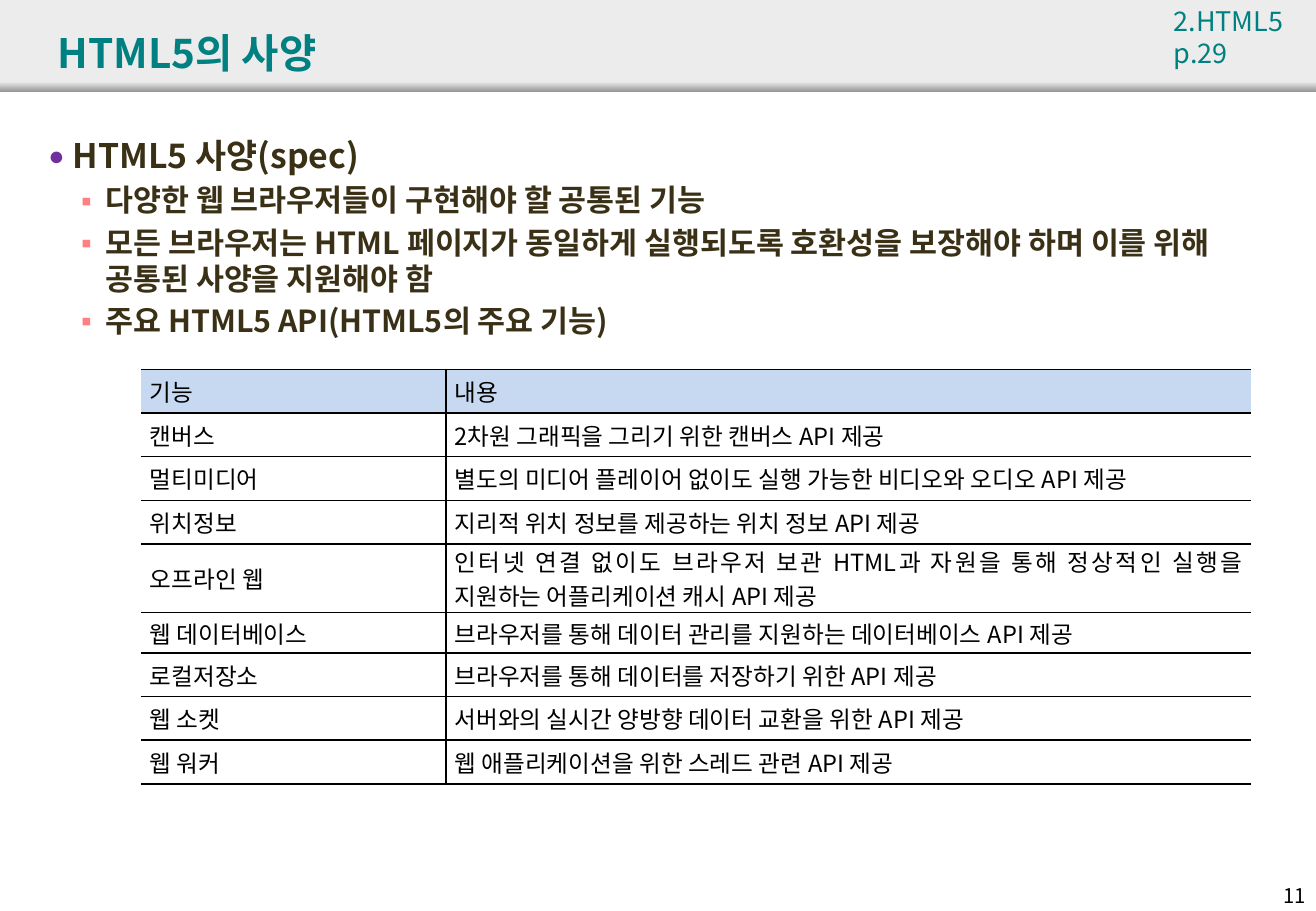
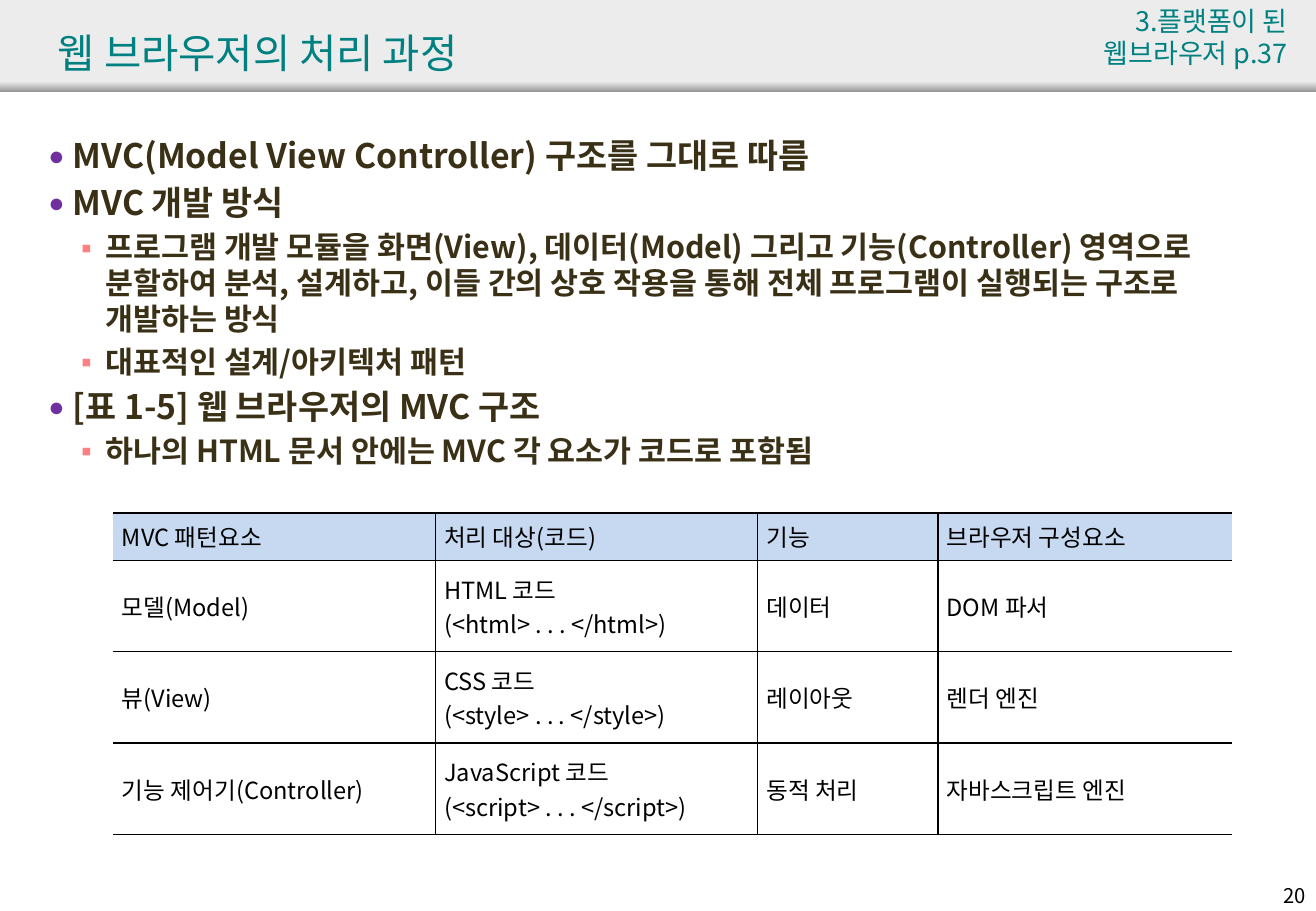
from lxml import etree
from pptx import Presentation
from pptx import util as u
from pptx.dml.color import RGBColor
from pptx.enum import shapes, text
from pptx.oxml.ns import qn

FONT = "Noto Sans CJK KR"
BULLET_FONT = "Arial"
COLORS = {
    "band": "ECECEC", "band_edge": "979797", "teal": "008080", "body": "3A3016",
    "black": "000000", "header": "C6D9F1", "dot": "7030A0", "square": "FF8080",
}
TIGHT = 0.99  # below 1, lines are spaced by the text size and not by the font's own height
# For each level: bullet, its colour, its size in percent, indent, text size, space before
LEVELS = [("●", "dot", 80, 14.4, 20, 4), ("▪", "square", 100, 33.8, 18, 3.6)]

SPEC_BULLETS = [
    (0, "HTML5 사양(spec)"),
    (1, "다양한 웹 브라우저들이 구현해야 할 공통된 기능"),
    (1, "모든 브라우저는 HTML 페이지가 동일하게 실행되도록 호환성을 보장해야 하며 "
        "이를 위해 공통된 사양을 지원해야 함"),
    (1, "주요 HTML5 API(HTML5의 주요 기능)"),
]
SPEC_ROWS = [
    ("기능", "내용"),
    ("캔버스", "2차원 그래픽을 그리기 위한 캔버스 API 제공"),
    ("멀티미디어", "별도의 미디어 플레이어 없이도 실행 가능한 비디오와 오디오 API 제공"),
    ("위치정보", "지리적 위치 정보를 제공하는 위치 정보 API 제공"),
    ("오프라인 웹", "인터넷 연결 없이도 브라우저 보관 HTML과 자원을 통해 정상적인 실행을 "
                "지원하는 어플리케이션 캐시 API 제공"),
    ("웹 데이터베이스", "브라우저를 통해 데이터 관리를 지원하는 데이터베이스 API 제공"),
    ("로컬저장소", "브라우저를 통해 데이터를 저장하기 위한 API 제공"),
    ("웹 소켓", "서버와의 실시간 양방향 데이터 교환을 위한 API 제공"),
    ("웹 워커", "웹 애플리케이션을 위한 스레드 관련 API 제공"),
]
MVC_BULLETS = [
    (0, "MVC(Model View Controller) 구조를 그대로 따름"),
    (0, "MVC 개발 방식"),
    (1, "프로그램 개발 모듈을 화면(View), 데이터(Model) 그리고 기능(Controller) 영역으로 "
        "분할하여 분석, 설계하고, 이들 간의 상호 작용을 통해 전체 프로그램이 실행되는 "
        "구조로 개발하는 방식"),
    (1, "대표적인 설계/아키텍처 패턴"),
    (0, "[표 1-5] 웹 브라우저의 MVC 구조"),
    (1, "하나의 HTML 문서 안에는 MVC 각 요소가 코드로 포함됨"),
]
MVC_ROWS = [
    ("MVC 패턴요소", "처리 대상(코드)", "기능", "브라우저 구성요소"),
    ("모델(Model)", "HTML 코드\n(<html> . . . </html>)", "데이터", "DOM 파서"),
    ("뷰(View)", "CSS 코드\n(<style> . . . </style>)", "레이아웃", "렌더 엔진"),
    ("기능 제어기(Controller)", "JavaScript 코드\n(<script> . . . </script>)",
     "동적 처리", "자바스크립트 엔진"),
]


def rgb(name):
    return RGBColor.from_string(COLORS[name])


def points(*lengths):
    return [u.Pt(length) for length in lengths]


def write(frame, words, size, color="black", bold=False, align="LEFT", spacing=TIGHT):
    """Fill a text frame, one paragraph for each line of words."""
    for index, line in enumerate(words.split("\n")):
        para = frame.add_paragraph() if index else frame.paragraphs[0]
        para.alignment = getattr(text.PP_ALIGN, align)
        para.line_spacing = spacing
        span = para.add_run()
        span.text = line
        font = span.font
        font.name, font.size, font.bold = FONT, u.Pt(size), bold
        font.color.rgb = rgb(color)
        font._element.set("kern", "0")
        etree.SubElement(font._element, qn("a:ea")).set("typeface", FONT)


def add_text(page, at, words, size, **style):
    box = page.shapes.add_textbox(*points(*at))
    box.text_frame.word_wrap = True
    write(box.text_frame, words, size, **style)
    return box.text_frame


def add_band(page, layout, top, height):
    """Add a full-width rectangle and hand it to the layout, so every slide shows it."""
    band = page.shapes.add_shape(shapes.MSO_SHAPE.RECTANGLE, *points(0, top, 780, height))
    band.shadow.inherit = False
    band.line.fill.background()
    layout.shapes.element.append(band.element)
    return band.fill


def add_header_bands(page, layout):
    plain = add_band(page, layout, 0, 54)
    plain.solid()
    plain.fore_color.rgb = rgb("band")
    edge = add_band(page, layout, 48.4, 6)
    edge.gradient()
    edge.gradient_angle = 270
    for stop, place, color in zip(edge.gradient_stops, (0, 1), ("band", "band_edge")):
        stop.position = place
        stop.color.rgb = rgb(color)


def set_title(page, words, bold):
    title = page.shapes.title
    title.left, title.top, title.width, title.height = points(27, 9.4, 714, 45.4)
    frame = title.text_frame
    frame.auto_size = text.MSO_AUTO_SIZE.NONE
    frame.vertical_anchor = text.MSO_ANCHOR.MIDDLE
    write(frame, words, 24, color="teal", bold=bold)


def set_bullet(para, mark, color, percent, indent):
    props = para._p.get_or_add_pPr()
    props.set("marL", str(u.Pt(indent)))
    props.set("indent", str(-u.Pt(14.4)))
    bullet_color = etree.SubElement(props, qn("a:buClr"))
    etree.SubElement(bullet_color, qn("a:srgbClr")).set("val", COLORS[color])
    etree.SubElement(props, qn("a:buSzPct")).set("val", str(percent * 1000))
    etree.SubElement(props, qn("a:buFont")).set("typeface", BULLET_FONT)
    etree.SubElement(props, qn("a:buChar")).set("char", mark)


def add_bullets(page, items):
    lines = "\n".join(words for level, words in items)
    frame = add_text(page, (21.6, 77.6, 743, 448), lines, 20, color="body", bold=True)
    for para, (level, words) in zip(frame.paragraphs, items):
        mark, color, percent, indent, size, before = LEVELS[level]
        para.level = level
        para.space_before = u.Pt(before)
        para.runs[0].font.size = u.Pt(size)
        set_bullet(para, mark, color, percent, indent)


def set_borders(cell, left, right):
    """Rule the top and bottom of a cell, and the sides that are asked for."""
    props = cell._tc.get_or_add_tcPr()
    sides = (("L", left), ("R", right), ("T", True), ("B", True))
    for index, (side, ruled) in enumerate(sides):
        line = etree.Element(qn("a:ln" + side), w=str(u.Pt(1)))
        fill = etree.SubElement(line, qn("a:solidFill" if ruled else "a:noFill"))
        if ruled:
            etree.SubElement(fill, qn("a:srgbClr")).set("val", COLORS["black"])
        props.insert(index, line)


def add_grid(page, left, top, widths, heights, rows):
    at = points(left, top, sum(widths), sum(heights))
    table = page.shapes.add_table(len(rows), len(widths), *at).table
    table.first_row = table.horz_banding = False
    for column, width in zip(table.columns, widths):
        column.width = u.Pt(width)
    for r, (height, words) in enumerate(zip(heights, rows)):
        table.rows[r].height = u.Pt(height)
        for c, entry in enumerate(words):
            cell = table.cell(r, c)
            cell.margin_left = cell.margin_right = u.Pt(5.2)
            cell.margin_top = cell.margin_bottom = 0
            cell.vertical_anchor = text.MSO_ANCHOR.MIDDLE
            if r == 0:
                cell.fill.solid()
                cell.fill.fore_color.rgb = rgb("header")
            else:
                cell.fill.background()
            set_borders(cell, left=c > 0, right=c < len(widths) - 1)
            write(cell.text_frame, entry, 14, align="JUSTIFY", spacing=1.0)


def add_page(deck, title, bold, number, bullets):
    page = deck.slides.add_slide(deck.slide_layouts[5])
    set_title(page, title, bold)
    add_text(page, (741.6, 520.6, 39.6, 21.6), number, 12, align="RIGHT")
    add_bullets(page, bullets)
    return page


def main():
    deck = Presentation()
    deck.slide_width, deck.slide_height = points(780, 540)

    spec_page = add_page(deck, "HTML5의 사양", True, "11", SPEC_BULLETS)
    add_header_bands(spec_page, deck.slide_layouts[5])
    heights = [25.9] * 4 + [40.8, 23.8] + [25.9] * 3
    add_grid(spec_page, 83.6, 218.9, [180.7, 477.4], heights, SPEC_ROWS)
    add_text(spec_page, (688.7, 0, 86.4, 46), "2.HTML5\np.29", 16, color="teal")

    mvc_page = add_page(deck, "웹 브라우저의 처리 과정", False, "20", MVC_BULLETS)
    add_grid(mvc_page, 67, 304, [191, 191, 106.9, 174.2], [28.1] + [54.2] * 3, MVC_ROWS)
    add_text(mvc_page, (618.2, 0, 152, 46), "3.플랫폼이 된\n웹브라우저 p.37", 16,
             color="teal", align="RIGHT")

    deck.save("out.pptx")


if __name__ == "__main__":
    main()
